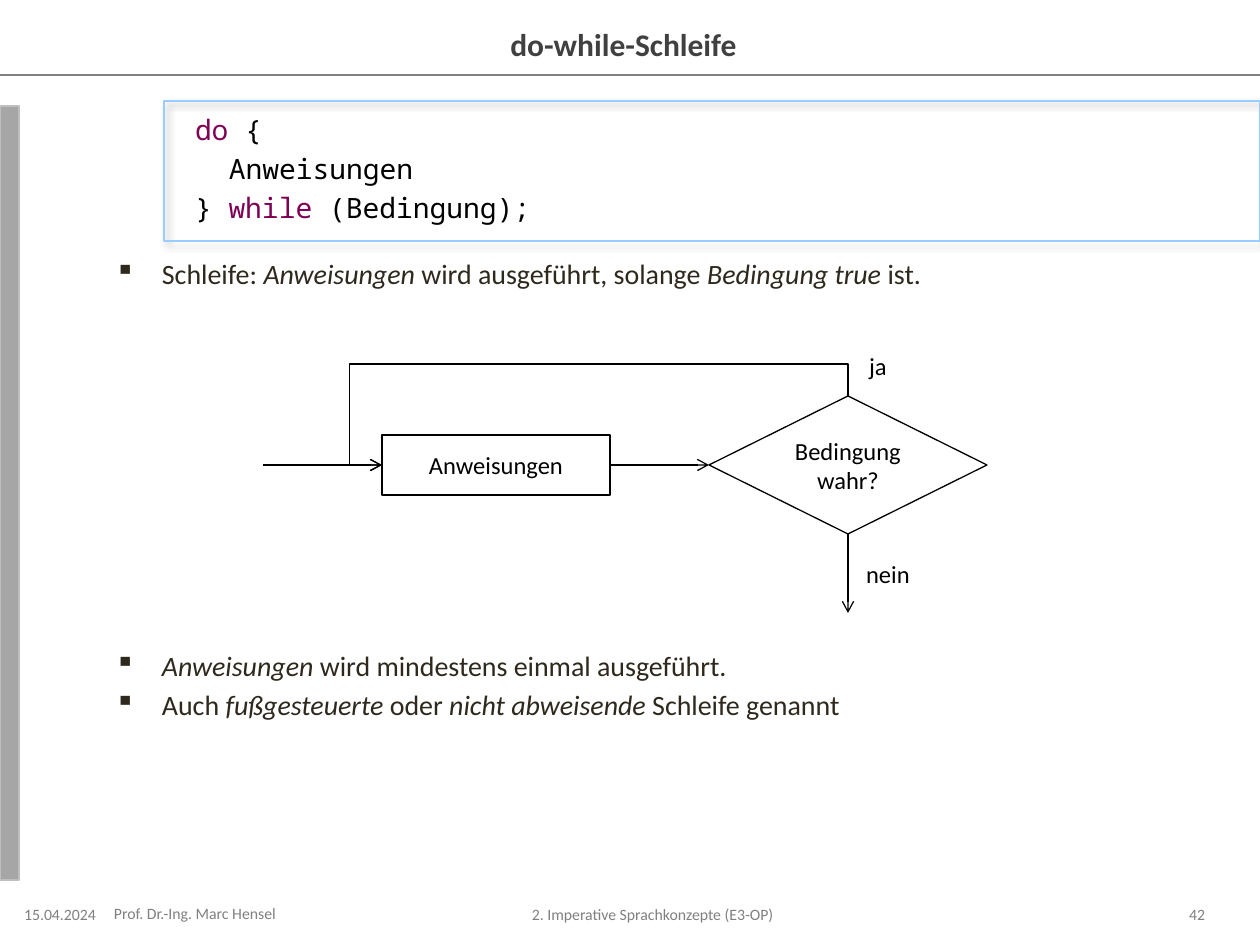
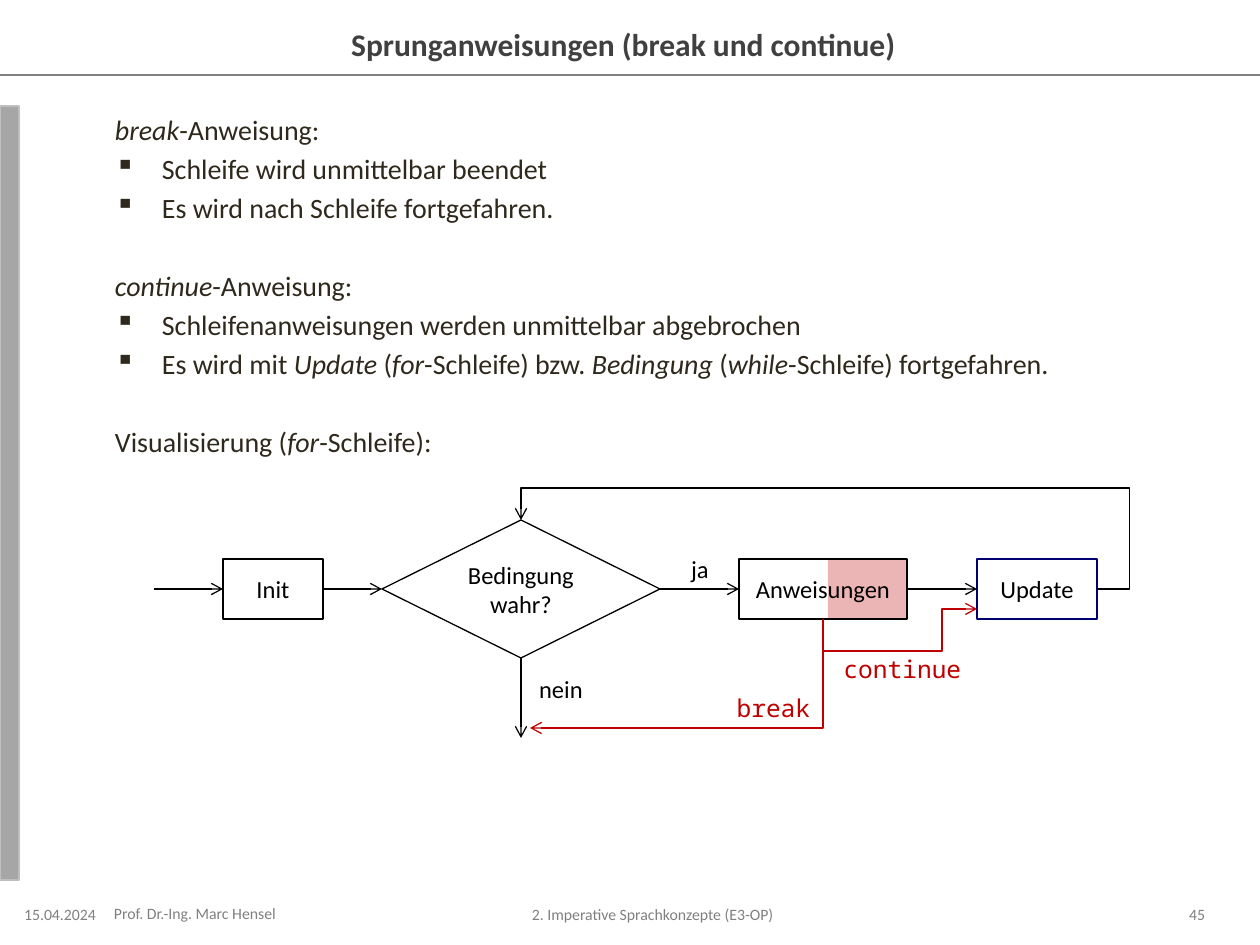
from collections import namedtuple

from lxml.etree import SubElement
from pptx import Presentation
from pptx.dml.color import RGBColor
from pptx.enum.shapes import MSO_CONNECTOR as LINK, MSO_SHAPE as SHAPE
from pptx.enum.text import MSO_ANCHOR as ANCHOR, PP_ALIGN as ALIGN
from pptx.oxml.ns import qn
from pptx.util import Emu, Pt

PX = 914400 / 126
SANS, MONO = "Calibri", "Noto Sans Mono"
BLACK, WHITE, RED, NAVY = "000000", "FFFFFF", "C00000", "000070"
GREY, INK, KEYWORD = "808080", "2F291D", "7F0055"
FOOT = {"name": SANS, "size": Pt(9), "color": GREY}
HEAD = {"name": SANS, "size": Pt(18), "color": "404040", "bold": True}
BODY = {"name": SANS, "size": Pt(16), "color": INK}
CODE = {"name": MONO, "size": Pt(16), "color": BLACK}
NODE = {"name": SANS, "size": Pt(14), "color": BLACK}
JUMP = {"name": MONO, "size": Pt(14), "color": RED}
TIGHT = (0, 6, 13, 6)
LINE_HEIGHT, LINE_GAP, HANG = 34, 5, 47
BODY_BOX = (115, 106, 1091, 774)
BOX_H, DIAMOND_W, DIAMOND_H, LEAD = 60, 278, 138, -32
TOP, LEFT, BOTTOM, RIGHT = range(4)

Joint = namedtuple("Joint", "shape site")


def px(length):
    """Turn px into EMU."""
    return Emu(round(length * PX))


def rgb(color):
    """Turn a hex string into a colour."""
    return RGBColor.from_string(color)


def style(font, look):
    """Apply a dict of format values to a font."""
    for key, value in look.items():
        if key == "color":
            font.color.rgb = rgb(value)
        else:
            setattr(font, key, value)


def write(paragraph, text, look, marked=None):
    """Write runs; the parts between asterisks get the marked look."""
    for index, part in enumerate(text.split("*")):
        if part:
            run = paragraph.add_run()
            run.text = part
            style(run.font, {**look, **(marked if index % 2 else {})})


def frame_text(shape, text, look, align=ALIGN.CENTER, insets=(13, 6, 13, 6)):
    """Set a single centred-in-height paragraph in a shape."""
    frame = shape.text_frame
    sides = ("margin_left", "margin_top", "margin_right", "margin_bottom")
    values = dict(zip(sides, map(px, insets)), word_wrap=True, vertical_anchor=ANCHOR.MIDDLE)
    for key, value in values.items():
        setattr(frame, key, value)
    frame.paragraphs[0].alignment = align
    write(frame.paragraphs[0], text, look)


def add_box(slide, box, kind=SHAPE.RECTANGLE, fill=None, line=None):
    """Draw a preset shape with optional fill and line."""
    shape = slide.shapes.add_shape(kind, *map(px, box))
    shape.shadow.inherit = False
    if fill:
        shape.fill.solid()
        shape.fill.fore_color.rgb = rgb(fill)
    else:
        shape.fill.background()
    if line:
        shape.line.color.rgb = rgb(line)
        shape.line.width = Pt(0.75)
    else:
        shape.line.fill.background()
    return shape


def add_label(slide, box, text, look, **options):
    """Add a text box with one line of text."""
    frame_text(slide.shapes.add_textbox(*map(px, box)), text, look, **options)


def finish_line(link, color, arrow=True):
    """Set colour, width and arrowhead of a connector and drop its shadow."""
    link.line.color.rgb = rgb(color)
    link.line.width = Pt(0.75)
    properties = link.element.spPr
    if arrow:
        SubElement(properties.find(qn("a:ln")), qn("a:tailEnd"), type="arrow")
    SubElement(properties, qn("a:effectLst"))


class Flow:
    """A flow chart whose parts are placed relative to its top left corner."""

    def __init__(self, slide, left, top):
        """Keep the slide and the corner."""
        self.slide, self.left, self.top = slide, left, top

    def at(self, x, y, *size):
        """Move a point or box to the flow's corner."""
        return (self.left + x, self.top + y, *size)

    def step(self, x, y, width, text, line=BLACK, fill=None):
        """Draw a process step."""
        shape = add_box(self.slide, self.at(x, y, width, BOX_H), fill=fill, line=line)
        frame_text(shape, text, NODE)
        return shape

    def decision(self, x, y):
        """Draw the loop condition."""
        box = self.at(x, y, DIAMOND_W, DIAMOND_H)
        shape = add_box(self.slide, box, SHAPE.FLOWCHART_DECISION, WHITE, BLACK)
        frame_text(shape, "Bedingung wahr?", NODE)
        return shape

    def label(self, x, y, text, width=100, look=NODE):
        """Write a branch label."""
        add_label(self.slide, self.at(x, y, width, BOX_H), text, look)

    def locate(self, end):
        """Give the EMU position of a joint or point."""
        if not isinstance(end, Joint):
            return tuple(map(px, self.at(*end)))
        shape, site = end
        across, down = ((0.5, 0), (0, 0.5), (0.5, 1), (1, 0.5))[site]
        return (Emu(round(shape.left + across * shape.width)),
                Emu(round(shape.top + down * shape.height)))

    def link(self, kind, begin, end):
        """Add a connector and join it where it meets a shape."""
        link = self.slide.shapes.add_connector(kind, *self.locate(begin), *self.locate(end))
        for join, target in ((link.begin_connect, begin), (link.end_connect, end)):
            if isinstance(target, Joint):
                join(*target)
        return link

    def arrow(self, begin, end):
        """Draw a straight arrow."""
        finish_line(self.link(LINK.STRAIGHT, begin, end), BLACK)

    def elbow(self, begin, end, turn=0, leads=(), flip=True, color=BLACK):
        """Draw a bent arrow; leads are the px distances of its inner bends."""
        link = self.link(LINK.ELBOW, begin, end)
        (x1, y1), (x2, y2) = self.locate(begin), self.locate(end)
        size = abs(x2 - x1), abs(y2 - y1)
        width, height = size[::-1] if turn else size
        place = {"left": (x1 + x2 - width) // 2, "top": (y1 + y2 - height) // 2,
                 "width": width, "height": height}
        for key, value in place.items():
            setattr(link, key, Emu(value))
        transform = link.element.spPr.find(qn("a:xfrm"))
        for key, value in {"rot": turn * 60000, "flipH": int(flip), "flipV": int(flip)}.items():
            transform.set(key, str(value))
        geometry = link.element.spPr.find(qn("a:prstGeom"))
        geometry.set("prst", f"bentConnector{2 + len(leads)}")
        guides = geometry.find(qn("a:avLst"))
        for number, (lead, span) in enumerate(zip(leads, (width, height)), 1):
            ratio = round(px(lead) / span * 100000)
            SubElement(guides, qn("a:gd"), name=f"adj{number}", fmla=f"val {ratio}")
        finish_line(link, color)


def add_body(slide, lines):
    """Write the body from (text, kind, gap above) lines."""
    frame = slide.shapes.add_textbox(*map(px, BODY_BOX)).text_frame
    frame.word_wrap = True
    frame.margin_left = 0
    for index, (text, kind, gap) in enumerate(lines):
        paragraph = frame.paragraphs[0] if index == 0 else frame.add_paragraph()
        paragraph.line_spacing = px(LINE_HEIGHT)
        paragraph.space_before = px(gap if index else 0)
        properties = paragraph._p.get_or_add_pPr()
        margin, indent = {"bullet": (HANG, -HANG), "plain": (0, 0),
                          "code": (80, 0), "inner": (114, 0)}[kind]
        properties.set("marL", str(px(margin)))
        properties.set("indent", str(px(indent)))
        if kind == "bullet":
            SubElement(properties, qn("a:buChar"), char="▪")
        else:
            SubElement(properties, qn("a:buNone"))
        if kind in ("code", "inner"):
            write(paragraph, text, CODE, {"color": KEYWORD})
        else:
            write(paragraph, text, BODY, {"italic": True})


def add_page(deck, title, number, lines):
    """Add a slide with rule, side bar, footers, body and title."""
    slide = deck.slides.add_slide(deck.slide_layouts[5])
    rule = slide.shapes.add_connector(LINK.STRAIGHT, 0, px(75), px(1260), px(75))
    finish_line(rule, GREY, arrow=False)
    add_box(slide, (0, 106, 19, 774), fill="A6A6A6", line="BFBFBF")
    heading = slide.shapes.title
    for key, value in zip(("left", "top", "width", "height"), (156, 19, 948, 49)):
        setattr(heading, key, px(value))
    frame_text(heading, title, HEAD, insets=TIGHT)
    footers = [
        ((312, 905, 694, 19), "2. Imperative Sprachkonzepte (E3-OP)", ALIGN.CENTER, TIGHT),
        ((19, 904, 95, 20), "15.04.2024", ALIGN.CENTER, TIGHT),
        ((114, 904, 189, 19), "Prof. Dr.-Ing. Marc Hensel", ALIGN.LEFT, TIGHT),
        ((1124, 905, 81, 19), number, ALIGN.RIGHT, TIGHT[::-1][1:] + (6,)),
    ]
    for box, text, align, insets in footers:
        add_label(slide, box, text, FOOT, align=align, insets=insets)
    add_body(slide, lines)
    return slide


def add_code_frame(slide, box):
    """Draw the shadowed outline around the code."""
    outline = add_box(slide, box, line="99CCFF")
    effects = outline.element.spPr.find(qn("a:effectLst"))
    shadow = SubElement(effects, qn("a:outerShdw"), blurRad=str(Pt(4)), dist=str(Pt(3)),
                        dir="2700000", algn="tl", rotWithShape="0")
    tone = SubElement(shadow, qn("a:srgbClr"), val=BLACK)
    SubElement(tone, qn("a:alpha"), val="40000")


def draw_do_while(slide, left, top):
    """Draw the flow of the do-while loop."""
    flow = Flow(slide, left, top)
    condition = flow.decision(446, 32)
    body = flow.step(119, 71, 228, "Anweisungen")
    flow.elbow(Joint(condition, TOP), Joint(body, LEFT), 270, (LEAD, 498))
    flow.arrow(Joint(body, RIGHT), Joint(condition, LEFT))
    flow.arrow(Joint(condition, BOTTOM), (585, 249))
    flow.arrow((0, 101), Joint(body, LEFT))
    flow.label(565, -28, "ja")
    flow.label(575, 180, "nein")


def draw_for(slide, left, top):
    """Draw the flow of the for loop with its jumps."""
    flow = Flow(slide, left, top)
    tint = add_box(slide, flow.at(674, 71, 79, BOX_H), fill=RED)
    color = tint.element.spPr.find(qn("a:solidFill")).find(qn("a:srgbClr"))
    SubElement(color, qn("a:alpha"), val="29000")
    condition = flow.decision(228, 32)
    update = flow.step(823, 71, 120, "Update", NAVY, WHITE)
    init = flow.step(69, 71, 100, "Init", fill=WHITE)
    body = flow.step(585, 71, 168, "Anweisungen")
    flow.elbow(Joint(update, RIGHT), Joint(condition, TOP), 0, (LEAD, 101))
    flow.arrow((0, 101), Joint(init, LEFT))
    for before, after in ((init, condition), (condition, body), (body, update)):
        flow.arrow(Joint(before, RIGHT), Joint(after, LEFT))
    flow.arrow(Joint(condition, BOTTOM), (367, 250))
    flow.label(496, 51, "ja")
    flow.label(357, 171, "nein")
    flow.elbow(Joint(body, BOTTOM), (823, 121), 90, (LEAD, 119), color=RED)
    flow.label(674, 151, "continue", 149, JUMP)
    flow.elbow(Joint(body, BOTTOM), (376, 240), 90, flip=False, color=RED)
    flow.label(555, 190, "break", 129, JUMP)


def main():
    """Build and save both slides."""
    deck = Presentation()
    deck.slide_width, deck.slide_height = px(1260), px(945)
    section_gap = LINE_HEIGHT + 2 * LINE_GAP
    do_while = add_page(deck, "do-while-Schleife", "42", [
        ("*do* {", "code", LINE_GAP),
        ("Anweisungen", "inner", LINE_GAP),
        ("} *while* (Bedingung);", "code", LINE_GAP),
        ("Schleife: *Anweisungen* wird ausgeführt, solange *Bedingung true* ist.", "bullet", 32),
        ("*Anweisungen* wird mindestens einmal ausgeführt.", "bullet", 358),
        ("Auch *fußgesteuerte* oder *nicht abweisende* Schleife genannt", "bullet", LINE_GAP),
    ])
    add_code_frame(do_while, (164, 101, 1096, 140))
    draw_do_while(do_while, 263, 364)
    jumps = add_page(deck, "Sprunganweisungen (break und continue)", "45", [
        ("*break*-Anweisung:", "plain", LINE_GAP),
        ("Schleife wird unmittelbar beendet", "bullet", LINE_GAP),
        ("Es wird nach Schleife fortgefahren.", "bullet", LINE_GAP),
        ("*continue*-Anweisung:", "plain", section_gap),
        ("Schleifenanweisungen werden unmittelbar abgebrochen", "bullet", LINE_GAP),
        ("Es wird mit *Update* (*for*-Schleife) bzw. *Bedingung* (*while*-Schleife) fortgefahren.",
         "bullet", LINE_GAP),
        ("Visualisierung (*for*-Schleife):", "plain", section_gap),
    ])
    draw_for(jumps, 154, 488)
    deck.save("out.pptx")


if __name__ == "__main__":
    main()
